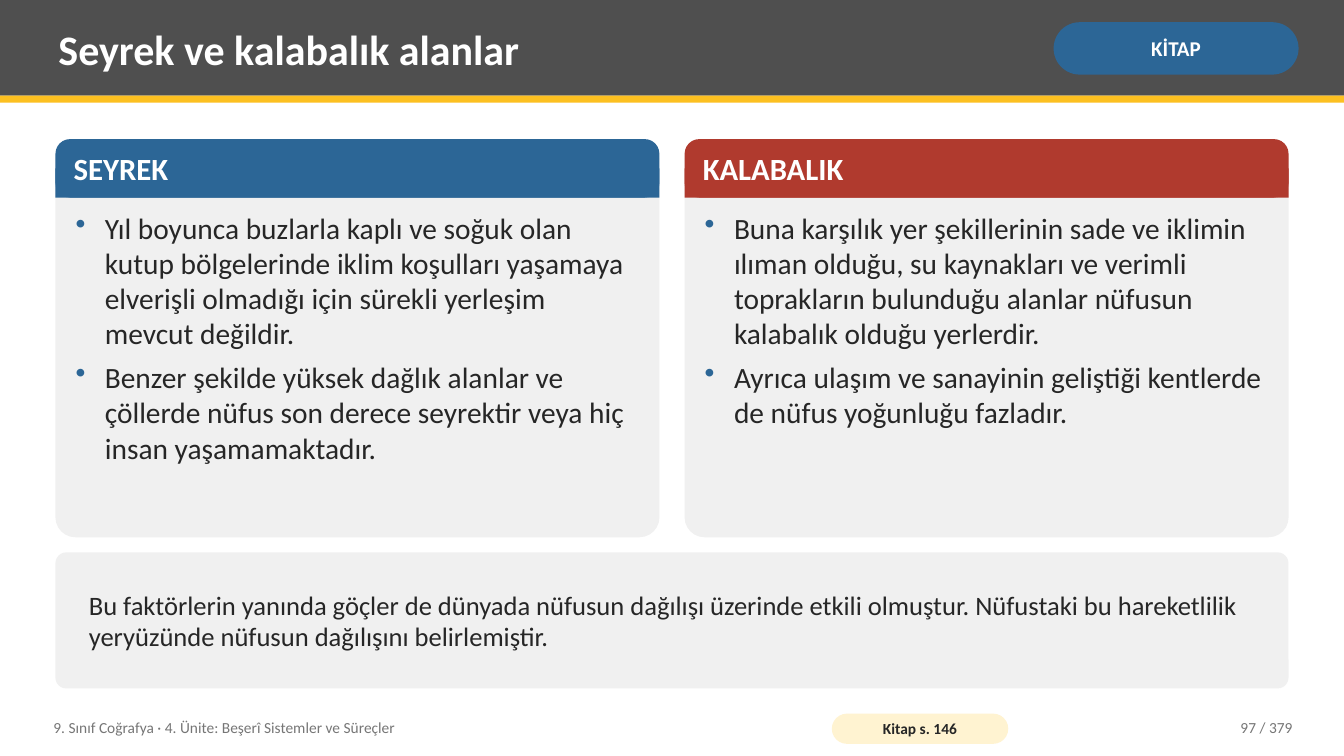
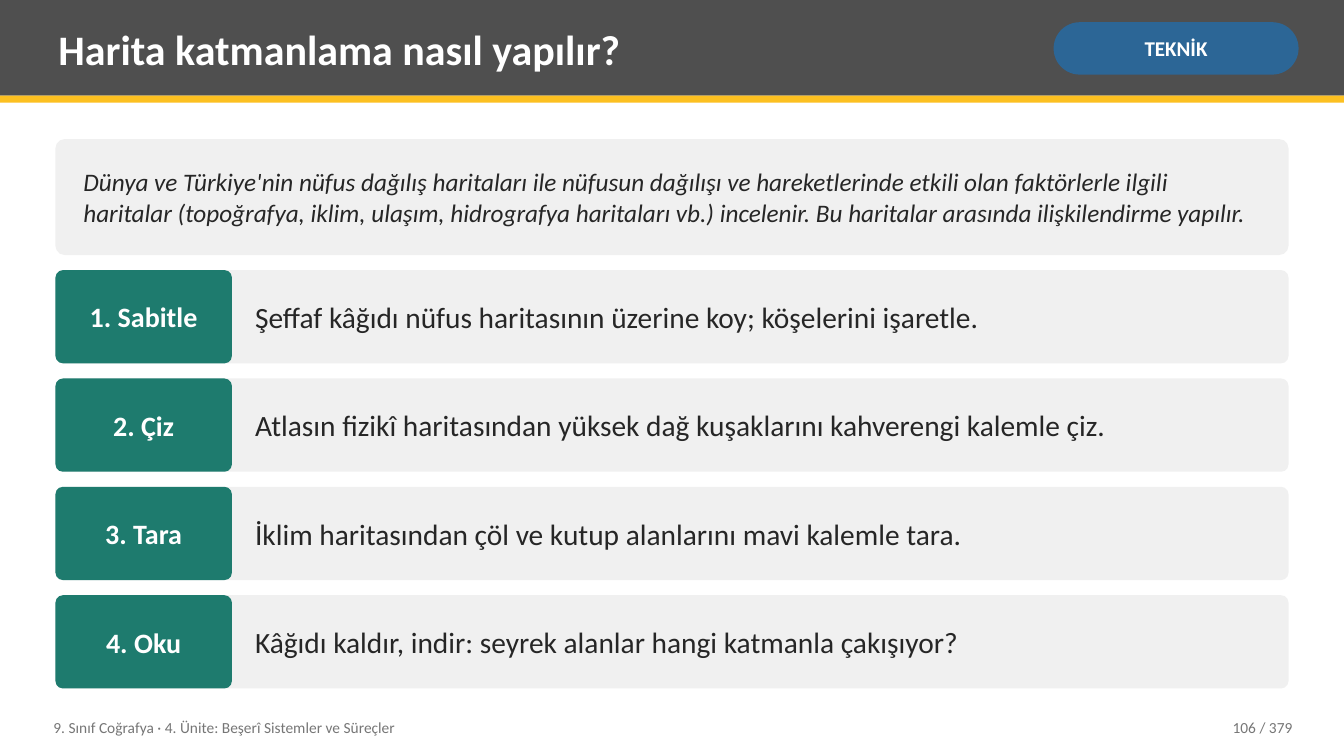
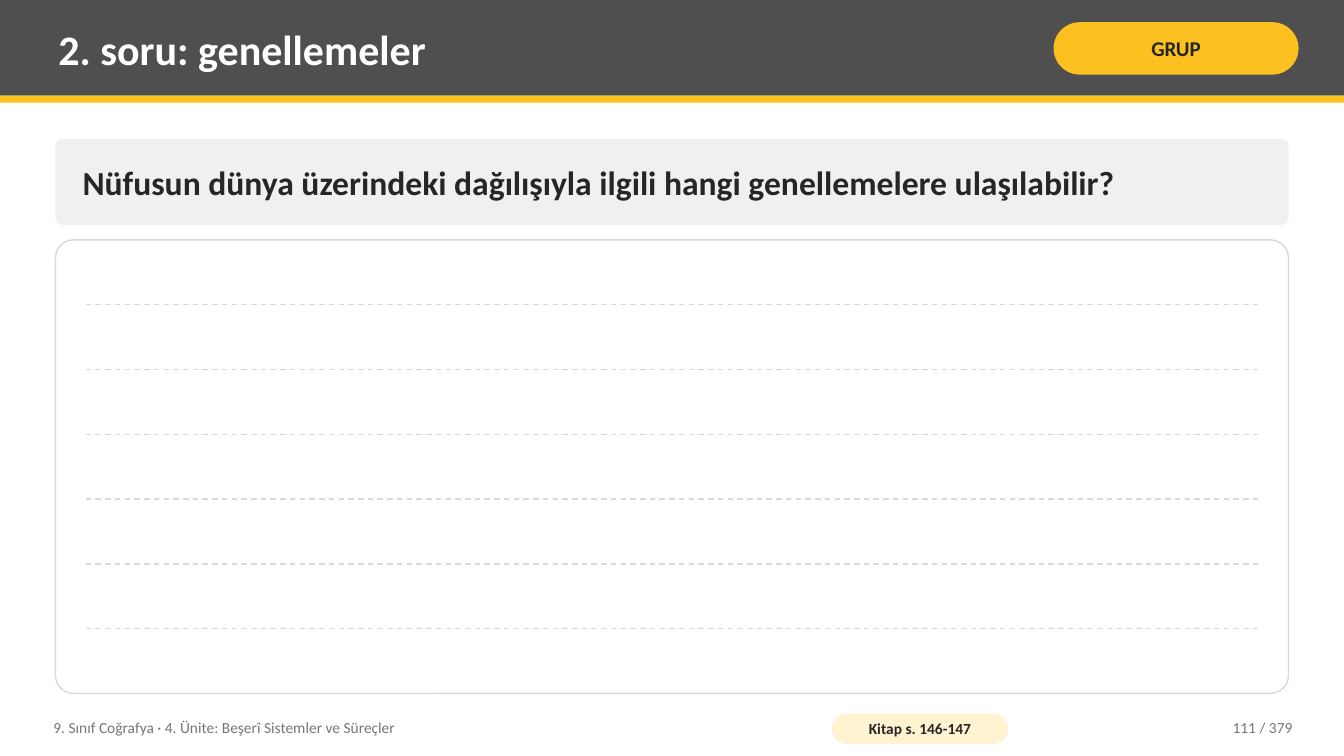
from lxml import etree
from pptx import Presentation, util as u
from pptx.dml.color import RGBColor
from pptx.enum import dml, shapes, text
from pptx.oxml.ns import qn

W, H = 13.33, 7.5
MARGIN, TOP, BOTTOM, GAP = 0.55, 1.38, 6.83, 0.15
FULL = W - 2 * MARGIN
FONT = "Calibri"
CHARCOAL, YELLOW, CREAM = "4F4F4F", "FCC021", "FFF3D1"
BLUE, RED, GREEN = "2C6696", "B03A2E", "1E7B6E"
INK, GREY, RULE, PANEL, WHITE = "262626", "767676", "D9D9D9", "F0F0F0", "FFFFFF"
rgb = RGBColor.from_string


def box(s, x, y, w, h, fill=None, adj=None, line=None):
    """Filled rectangle, rounded when adj is given; a plain text box without fill."""
    at = [u.Inches(v) for v in (x, y, w, h)]
    if fill is None:
        return s.shapes.add_textbox(*at)
    kind = shapes.MSO_SHAPE.ROUNDED_RECTANGLE if adj else shapes.MSO_SHAPE.RECTANGLE
    sp = s.shapes.add_shape(kind, *at)
    sp.shadow.inherit = False
    if adj:
        sp.adjustments[0] = adj
    sp.fill.solid()
    sp.fill.fore_color.rgb = rgb(fill)
    if line:
        sp.line.color.rgb = rgb(line)
        sp.line.width = u.Pt(1)
    else:
        sp.line.fill.background()
    return sp


def write(sp, *paras, size, color=INK, bold=False, italic=False, align="LEFT",
          anchor="MIDDLE", inset=(0.08, 0.04), bullet=None, after=0):
    """Fill a shape with paragraphs; bullet is the colour of the bullet sign."""
    tf = sp.text_frame
    tf.word_wrap = True
    tf.vertical_anchor = text.MSO_ANCHOR[anchor]
    tf.margin_left = tf.margin_right = u.Inches(inset[0])
    tf.margin_top = tf.margin_bottom = u.Inches(inset[1])
    for i, para in enumerate(paras):
        p = tf.paragraphs[0] if i == 0 else tf.add_paragraph()
        p.alignment = text.PP_ALIGN[align]
        if i < len(paras) - 1:
            p.space_after = u.Pt(after)
        if bullet:
            pPr = p._p.get_or_add_pPr()
            pPr.set("marL", str(u.Inches(0.29)))
            pPr.set("indent", str(-u.Inches(0.29)))
            clr = etree.SubElement(pPr, qn("a:buClr"))
            etree.SubElement(clr, qn("a:srgbClr"), val=bullet)
            etree.SubElement(pPr, qn("a:buChar"), char="•")
        r = p.add_run()
        r.text = para
        r.font.name, r.font.size = FONT, u.Pt(size)
        r.font.bold, r.font.italic = bold, italic
        r.font.color.rgb = rgb(color)


prs = Presentation()
prs.slide_width, prs.slide_height = u.Inches(W), u.Inches(H)

# Header band, title, badge and footer of every slide
frames = [
    ("Seyrek ve kalabalık alanlar", "KİTAP", BLUE, WHITE, "Kitap s. 146", 97),
    ("Harita katmanlama nasıl yapılır?", "TEKNİK", BLUE, WHITE, None, 106),
    ("2. soru: genellemeler", "GRUP", YELLOW, INK, "Kitap s. 146-147", 111),
]
for title, badge, badge_fill, badge_ink, pages, number in frames:
    s = prs.slides.add_slide(prs.slide_layouts[6])
    box(s, 0, 0, W, 0.95, CHARCOAL)
    box(s, 0, 0.95, W, 0.07, YELLOW)
    write(box(s, 0.5, 0.07, 9.75, 0.82), title, size=30, color=WHITE, bold=True)
    write(box(s, 10.45, 0.22, 2.43, 0.52, badge_fill, 0.5), badge, size=15,
          color=badge_ink, bold=True, align="CENTER", inset=(0.05, 0.02))
    write(box(s, 0.45, 7.04, 7.6, 0.36),
          "9. Sınıf Coğrafya · 4. Ünite: Beşerî Sistemler ve Süreçler", size=11, color=GREY)
    if pages:
        write(box(s, 8.25, 7.08, 1.75, 0.3, CREAM, 0.5), pages, size=11,
              bold=True, align="CENTER", inset=(0.04, 0))
    write(box(s, 11.3, 7.04, 1.6, 0.36), f"{number} / 379", size=11, color=GREY, align="RIGHT")

compare, steps, question = prs.slides

# Sparse and crowded areas: two columns and a closing note
columns = [
    ("SEYREK", BLUE, [
        "Yıl boyunca buzlarla kaplı ve soğuk olan kutup bölgelerinde iklim koşulları "
        "yaşamaya elverişli olmadığı için sürekli yerleşim mevcut değildir.",
        "Benzer şekilde yüksek dağlık alanlar ve çöllerde nüfus son derece seyrektir "
        "veya hiç insan yaşamamaktadır."]),
    ("KALABALIK", RED, [
        "Buna karşılık yer şekillerinin sade ve iklimin ılıman olduğu, su kaynakları ve "
        "verimli toprakların bulunduğu alanlar nüfusun kalabalık olduğu yerlerdir.",
        "Ayrıca ulaşım ve sanayinin geliştiği kentlerde de nüfus yoğunluğu fazladır."]),
]
col_gap, head_h, card_h = 0.25, 0.58, 3.95
col_w = (FULL - col_gap) / 2
for i, (head, color, points) in enumerate(columns):
    x = MARGIN + i * (col_w + col_gap)
    box(compare, x, TOP, col_w, card_h, PANEL, 0.05)
    box(compare, x, TOP, col_w, head_h, color, 0.25)
    box(compare, x, TOP + head_h / 2, col_w, head_h / 2, color)
    write(box(compare, x + 0.1, TOP, col_w - 0.2, head_h), head, size=22, color=WHITE, bold=True)
    write(box(compare, x + 0.12, TOP + head_h + 0.08, col_w - 0.24, card_h - head_h - 0.16),
          *points, size=21, anchor="TOP", bullet=BLUE, after=6)
note_y = TOP + card_h + GAP
write(box(compare, MARGIN, note_y, FULL, BOTTOM - note_y, PANEL, 0.08),
      "Bu faktörlerin yanında göçler de dünyada nüfusun dağılışı üzerinde etkili olmuştur. "
      "Nüfustaki bu hareketlilik yeryüzünde nüfusun dağılışını belirlemiştir.",
      size=19, inset=(0.3, 0.08))

# Map layering: introduction and four steps
intro_h = 1.15
write(box(steps, MARGIN, TOP, FULL, intro_h, PANEL, 0.08),
      "Dünya ve Türkiye'nin nüfus dağılış haritaları ile nüfusun dağılışı ve hareketlerinde "
      "etkili olan faktörlerle ilgili haritalar (topoğrafya, iklim, ulaşım, hidrografya "
      "haritaları vb.) incelenir. Bu haritalar arasında ilişkilendirme yapılır.",
      size=18, italic=True, inset=(0.25, 0.08))
rows = [
    ("1. Sabitle", "Şeffaf kâğıdı nüfus haritasının üzerine koy; köşelerini işaretle."),
    ("2. Çiz", "Atlasın fizikî haritasından yüksek dağ kuşaklarını kahverengi kalemle çiz."),
    ("3. Tara", "İklim haritasından çöl ve kutup alanlarını mavi kalemle tara."),
    ("4. Oku", "Kâğıdı kaldır, indir: seyrek alanlar hangi katmanla çakışıyor?"),
]
rows_y, label_w = TOP + intro_h + GAP, 1.75
row_h = (BOTTOM - rows_y - GAP * (len(rows) - 1)) / len(rows)
for i, (label, task) in enumerate(rows):
    y = rows_y + i * (row_h + GAP)
    box(steps, MARGIN, y, FULL, row_h, PANEL, 0.08)
    write(box(steps, MARGIN, y, label_w, row_h, GREEN, 0.08), label, size=20,
          color=WHITE, bold=True, align="CENTER", inset=(0.06, 0.08))
    write(box(steps, MARGIN + label_w + 0.15, y, FULL - label_w - 0.25, row_h), task, size=21)

# Question with a ruled answer area
question_h, answer_h, spaces = 0.85, 4.5, 7
write(box(question, MARGIN, TOP, FULL, question_h, PANEL, 0.08),
      "Nüfusun dünya üzerindeki dağılışıyla ilgili hangi genellemelere ulaşılabilir?",
      size=24, bold=True, inset=(0.25, 0.08))
answer_y = TOP + question_h + GAP
box(question, MARGIN, answer_y, FULL, answer_h, WHITE, 0.04, RULE)
for i in range(1, spaces):
    y = u.Inches(answer_y + i * answer_h / spaces)
    rule = question.shapes.add_connector(
        shapes.MSO_CONNECTOR.STRAIGHT, u.Inches(MARGIN + 0.3), y, u.Inches(W - MARGIN - 0.3), y)
    rule.line.color.rgb = rgb(RULE)
    rule.line.width = u.Pt(1)
    rule.line.dash_style = dml.MSO_LINE.DASH
    etree.SubElement(rule._element.spPr, qn("a:effectLst"))

prs.save("out.pptx")
